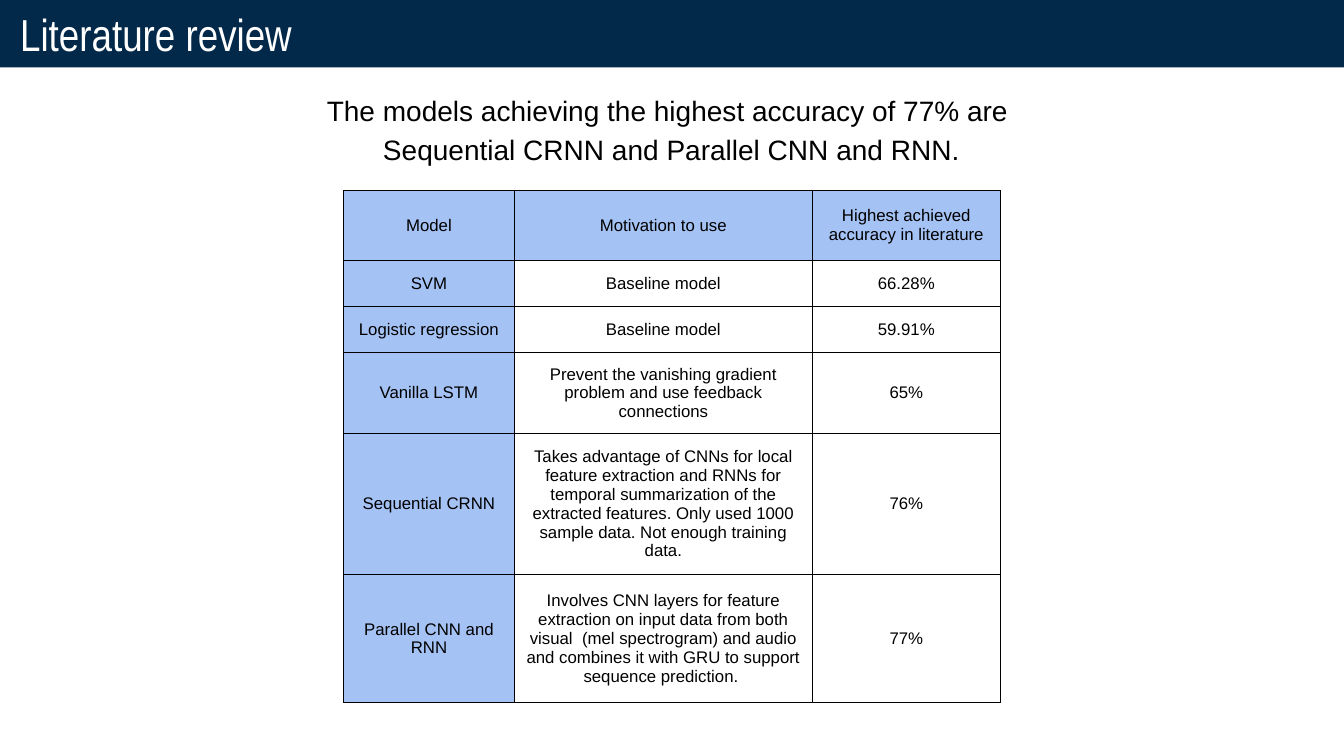
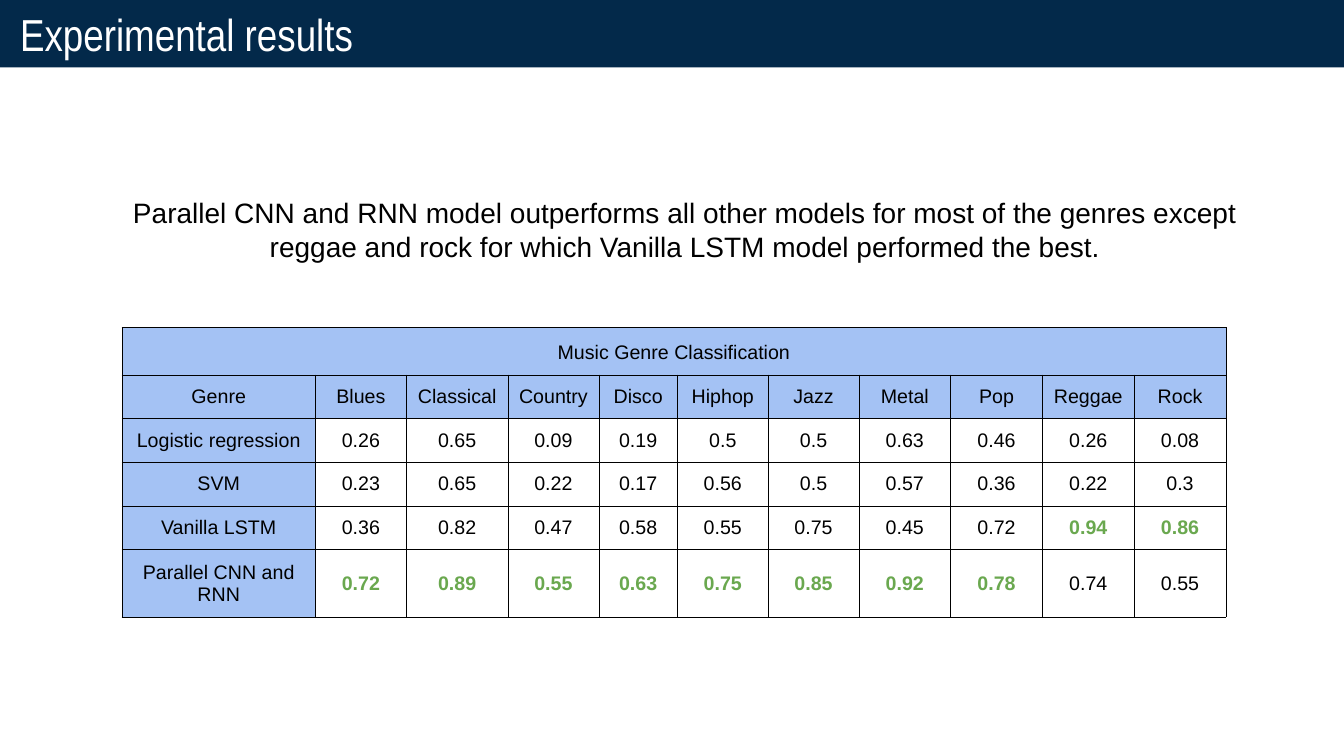
from lxml.etree import SubElement
from pptx import Presentation
from pptx.dml.color import RGBColor
from pptx.enum.shapes import MSO_SHAPE
from pptx.enum.text import MSO_ANCHOR, PP_ALIGN
from pptx.oxml.ns import qn
from pptx.util import Inches, Pt

NAVY = "03294A"
WHITE = "FFFFFF"
BLACK = "000000"
HEADER_BLUE = "A4C2F4"
BEST_GREEN = "6AA84F"
BODY_FONT = "Arial"
TITLE_FONT = "Arial Narrow"
SLIDE_WIDTH = 13.33

MODELS = [
    ["Model", "Motivation to use", "Highest achieved accuracy in literature"],
    ["SVM", "Baseline model", "66.28%"],
    ["Logistic regression", "Baseline model", "59.91%"],
    ["Vanilla LSTM",
     "Prevent the vanishing gradient problem and use feedback connections", "65%"],
    ["Sequential CRNN",
     "Takes advantage of CNNs for local feature extraction and RNNs for temporal "
     "summarization of the extracted features. Only used 1000 sample data. "
     "Not enough training data.", "76%"],
    ["Parallel CNN and RNN",
     "Involves CNN layers for feature extraction on input data from both visual  "
     "(mel spectrogram) and audio and combines it with GRU to support sequence "
     "prediction. ", "77%"],
]

GENRES = ["Blues", "Classical", "Country", "Disco", "Hiphop",
          "Jazz", "Metal", "Pop", "Reggae", "Rock"]
SCORES = {
    "Logistic regression": [0.26, 0.65, 0.09, 0.19, 0.5, 0.5, 0.63, 0.46, 0.26, 0.08],
    "SVM": [0.23, 0.65, 0.22, 0.17, 0.56, 0.5, 0.57, 0.36, 0.22, 0.3],
    "Vanilla LSTM": [0.36, 0.82, 0.47, 0.58, 0.55, 0.75, 0.45, 0.72, 0.94, 0.86],
    "Parallel CNN and RNN": [0.72, 0.89, 0.55, 0.63, 0.75, 0.85, 0.92, 0.78, 0.74, 0.55],
}


def rgb(color):
    return RGBColor.from_string(color)


def style_font(paragraph, size, color=BLACK, name=BODY_FONT, bold=False):
    font = paragraph.font
    font.name, font.size, font.bold = name, Pt(size), bold
    font.color.rgb = rgb(color)


def set_margins(frame, horizontal, vertical):
    frame.margin_left = frame.margin_right = Inches(horizontal)
    frame.margin_top = frame.margin_bottom = Inches(vertical)


def add_titled_slide(prs, title):
    slide = prs.slides.add_slide(prs.slide_layouts[6])
    band = slide.shapes.add_shape(
        MSO_SHAPE.RECTANGLE, 0, 0, Inches(SLIDE_WIDTH), Inches(0.67))
    band.shadow.inherit = False
    band.fill.solid()
    band.fill.fore_color.rgb = rgb(NAVY)
    band.line.fill.background()
    frame = band.text_frame
    frame.vertical_anchor = MSO_ANCHOR.MIDDLE
    set_margins(frame, 0.2, 0.1)
    heading = frame.paragraphs[0]
    heading.text = title
    heading.alignment = PP_ALIGN.LEFT
    style_font(heading, 32, WHITE, TITLE_FONT)
    return slide


def add_takeaway(slide, box, lines, vertical_margin, spacing):
    frame = slide.shapes.add_textbox(*map(Inches, box)).text_frame
    frame.word_wrap = True
    set_margins(frame, 0.1, vertical_margin)
    for index, line in enumerate(lines):
        paragraph = frame.add_paragraph() if index else frame.paragraphs[0]
        paragraph.text = line
        paragraph.alignment = PP_ALIGN.CENTER
        paragraph.line_spacing = spacing
        style_font(paragraph, 20)


def add_borders(cell):
    properties = cell._tc.get_or_add_tcPr()
    for side in ("lnL", "lnR", "lnT", "lnB"):
        border = SubElement(properties, qn(f"a:{side}"), w=str(Pt(0.5)))
        fill = SubElement(border, qn("a:solidFill"))
        SubElement(fill, qn("a:srgbClr"), val=BLACK)


def fill_cell(cell, text, size, is_header):
    add_borders(cell)
    if is_header:
        cell.fill.solid()
        cell.fill.fore_color.rgb = rgb(HEADER_BLUE)
    else:
        cell.fill.background()
    cell.vertical_anchor = MSO_ANCHOR.MIDDLE
    set_margins(cell, 0.1, 0.1)
    paragraph = cell.text_frame.paragraphs[0]
    paragraph.text = text
    paragraph.alignment = PP_ALIGN.CENTER
    style_font(paragraph, size)


def add_grid(slide, left, top, widths, heights, rows, size, header_rows=1):
    table = slide.shapes.add_table(
        len(heights), len(widths), Inches(left), Inches(top),
        Inches(sum(widths)), Inches(sum(heights))).table
    table.first_row = table.horz_banding = False
    for column, width in zip(table.columns, widths):
        column.width = Inches(width)
    for row, height in zip(table.rows, heights):
        row.height = Inches(height)
    for r, texts in enumerate(rows):
        for c, text in enumerate(texts):
            fill_cell(table.cell(r, c), text, size, r < header_rows or c == 0)
    return table


def highlight_best(table, first_row):
    for c, column in enumerate(zip(*SCORES.values()), start=1):
        winner = table.cell(first_row + column.index(max(column)), c)
        style_font(winner.text_frame.paragraphs[0], 14, BEST_GREEN, bold=True)


def add_literature_review(prs):
    slide = add_titled_slide(prs, "Literature review")
    add_takeaway(slide, (2.37, 0.83, 8.58, 0.71),
                 ["The models achieving the highest accuracy of 77% are ",
                  "Sequential CRNN and Parallel CNN and RNN."], 0.05, 1.15)
    add_grid(slide, 3.41, 1.89, [1.69, 2.96, 1.86],
             [0.69, 0.46, 0.46, 0.76, 1.32, 1.27], MODELS, 12)


def add_experimental_results(prs):
    slide = add_titled_slide(prs, "Experimental results")
    caption = ["Music Genre Classification"] + [""] * len(GENRES)
    score_rows = [[model, *map(str, scores)] for model, scores in SCORES.items()]
    widths = [1.92, 0.9, 1.01, 0.9, 0.78, 0.9, 0.9] + [0.91] * 4
    table = add_grid(slide, 1.21, 3.25, widths, [0.45] + [0.42] * 4 + [0.63],
                     [caption, ["Genre", *GENRES], *score_rows], 14, header_rows=2)
    table.cell(0, 0).merge(table.cell(0, len(GENRES)))
    table.cell(0, 0).text_frame.paragraphs[0].line_spacing = 1.15
    highlight_best(table, 2)
    add_takeaway(slide, (0.94, 1.84, 11.71, 0.75),
                 ["Parallel CNN and RNN model outperforms all other models for most of "
                  "the genres except reggae and rock for which Vanilla LSTM model "
                  "performed the best."], 0.1, 1.0)


def main():
    prs = Presentation()
    prs.slide_width, prs.slide_height = Inches(SLIDE_WIDTH), Inches(7.5)
    add_literature_review(prs)
    add_experimental_results(prs)
    prs.save("out.pptx")


if __name__ == "__main__":
    main()
